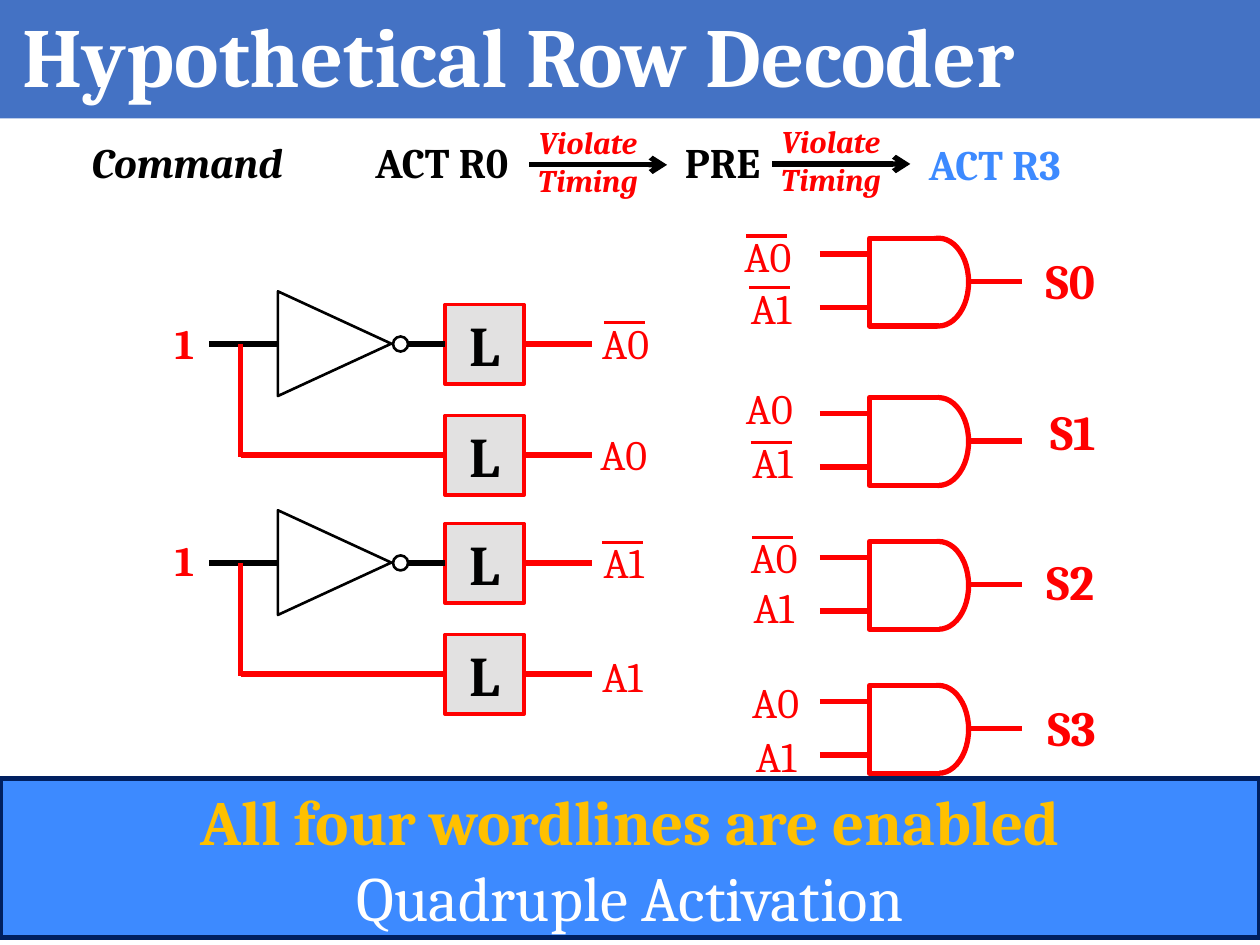
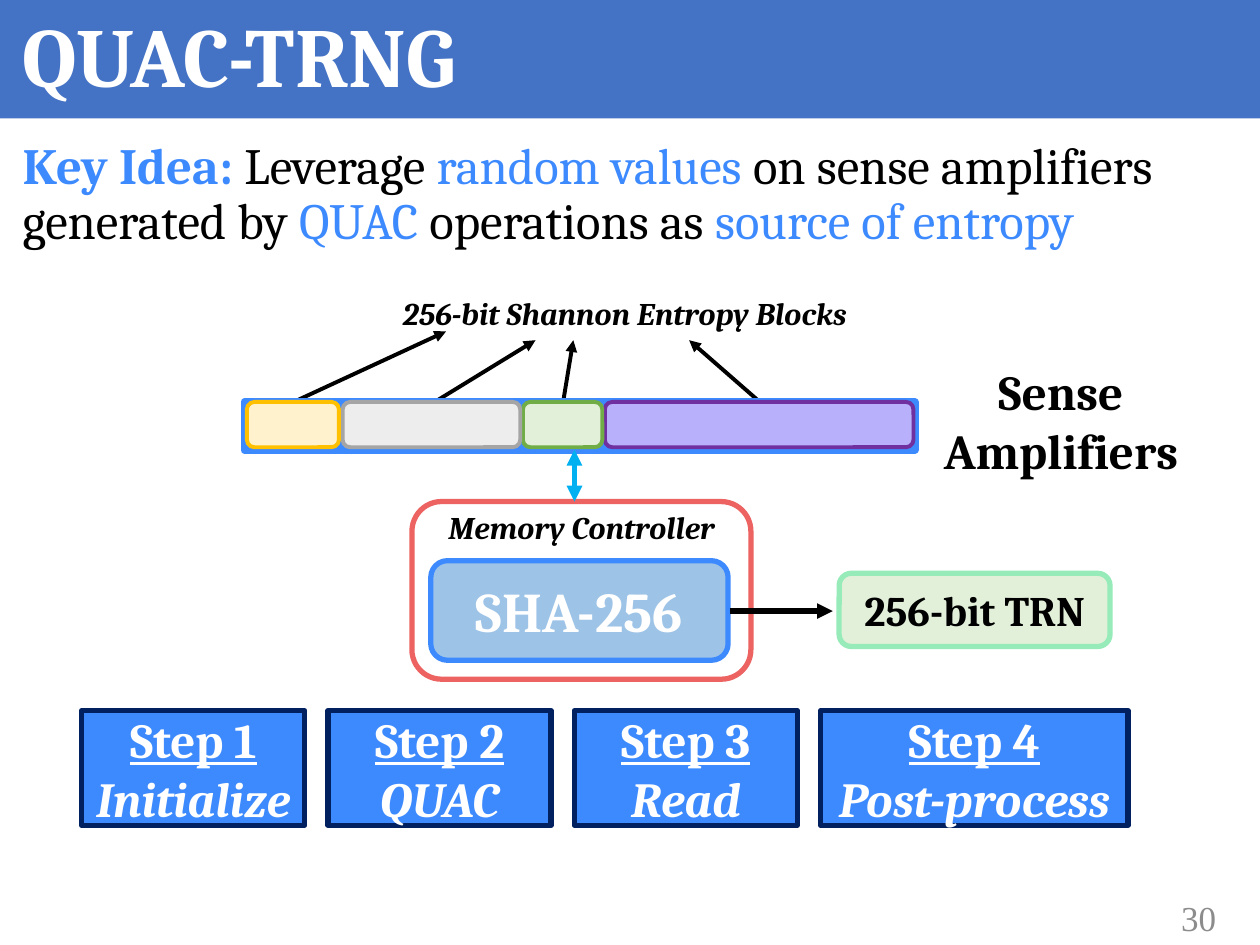
from dataclasses import dataclass, replace

from lxml import etree
from pptx import Presentation
from pptx.dml.color import RGBColor
from pptx.enum.shapes import MSO_CONNECTOR, MSO_SHAPE
from pptx.enum.text import MSO_ANCHOR, PP_ALIGN
from pptx.oxml.ns import qn
from pptx.util import Pt

RECT, ROUND = MSO_SHAPE.RECTANGLE, MSO_SHAPE.ROUNDED_RECTANGLE
OVAL, TRIANGLE = MSO_SHAPE.OVAL, MSO_SHAPE.ISOSCELES_TRIANGLE
STRAIGHT = MSO_CONNECTOR.STRAIGHT
LEFT, CENTER, RIGHT = PP_ALIGN.LEFT, PP_ALIGN.CENTER, PP_ALIGN.RIGHT
TOP, MIDDLE = MSO_ANCHOR.TOP, MSO_ANCHOR.MIDDLE
rgb = RGBColor.from_string


@dataclass(frozen=True)
class Theme:
    font: str = "Cambria"
    number_font: str = "Times New Roman"
    black: RGBColor = rgb("000000")
    white: RGBColor = rgb("FFFFFF")
    red: RGBColor = rgb("FF0000")
    band: RGBColor = rgb("4472C4")
    blue: RGBColor = rgb("3D8AFF")
    navy: RGBColor = rgb("002060")
    gold: RGBColor = rgb("FFC000")
    gray: RGBColor = rgb("8C8C8C")
    latch: RGBColor = rgb("D0CECE")
    coral: RGBColor = rgb("EC6362")
    hash_fill: RGBColor = rgb("9DC3E7")
    pale_green: RGBColor = rgb("E2F0D9")
    mint: RGBColor = rgb("96EBB9")
    sky: RGBColor = rgb("00B0F0")
    title: float = 48
    banner: float = 36
    large: float = 32
    body: float = 29
    heading: float = 28
    normal: float = 24
    number: float = 20
    small: float = 18


THEME = Theme()


@dataclass(frozen=True)
class Span:
    text: str
    size: float = THEME.normal
    color: RGBColor = THEME.black
    bold: bool = True
    italic: bool = False
    underline: bool = False
    font: str = THEME.font


@dataclass(frozen=True)
class Box:
    left: float
    top: float
    width: float
    height: float


@dataclass(frozen=True)
class Signal:
    name: str
    center: float
    top: float
    inverted: bool = False


@dataclass(frozen=True)
class Gate:
    top: float
    inputs: tuple[Signal, Signal]
    output: Signal


@dataclass(frozen=True)
class EntropyBlock:
    left: float
    width: float
    fill: RGBColor
    border: RGBColor


# Shared drawing helpers
def style(run, span: Span) -> None:
    font = run.font
    font.name, font.size, font.color.rgb = span.font, Pt(span.size), span.color
    font.bold, font.italic, font.underline = span.bold, span.italic, span.underline


def write(frame, spans: tuple[Span, ...], align=CENTER, anchor=TOP) -> None:
    """Write one paragraph for each span."""
    frame.word_wrap = True
    frame.vertical_anchor = anchor
    frame.text = "\n".join(span.text for span in spans)
    for para, span in zip(frame.paragraphs, spans):
        para.alignment = align
        style(para.runs[0], span)


def place(box: Box) -> tuple:
    return Pt(box.left), Pt(box.top), Pt(box.width), Pt(box.height)


def add_text(page, box: Box, *spans: Span, align=CENTER, anchor=TOP):
    frame = page.shapes.add_textbox(*place(box)).text_frame
    write(frame, spans, align, anchor)
    return frame


def add_label(page, center: float, top: float, width: float, *spans: Span) -> None:
    add_text(page, Box(center - width / 2, top, width, 36), *spans)


def add_shape(page, kind, box: Box, *spans: Span, fill: RGBColor | None = None,
              border: RGBColor | None = None, weight: float = 3):
    shape = page.shapes.add_shape(kind, *place(box))
    shape.shadow.inherit = False
    if fill is None:
        shape.fill.background()
    else:
        shape.fill.solid()
        shape.fill.fore_color.rgb = fill
    if border is None:
        shape.line.fill.background()
    else:
        shape.line.color.rgb = border
        shape.line.width = Pt(weight)
    if spans:
        shape.text_frame.margin_left = shape.text_frame.margin_right = 0
        write(shape.text_frame, spans, anchor=MIDDLE)
    return shape


def add_line(page, start: tuple[float, float], end: tuple[float, float], color: RGBColor,
             weight: float = 3, head: str = "", tail: str = "") -> None:
    line = page.shapes.add_connector(STRAIGHT, *(Pt(value) for value in start + end))
    line.line.color.rgb = color
    line.line.width = Pt(weight)
    properties = line._element.spPr
    for tag, kind in (("a:headEnd", head), ("a:tailEnd", tail)):
        if kind:
            etree.SubElement(properties.find(qn("a:ln")), qn(tag), type=kind)
    etree.SubElement(properties, qn("a:effectLst"))


def add_page(deck, title: str):
    page = deck.slides.add_slide(deck.slide_layouts[6])
    add_shape(page, RECT, Box(0, 0, 720, 67.7), fill=THEME.band)
    frame = add_text(page, Box(5.8, 0.7, 707.8, 59.8), Span(title, THEME.title, THEME.white),
                     align=LEFT, anchor=MIDDLE)
    frame.paragraphs[0].space_after = Pt(6)
    return page


# Row decoder parts
def add_signal(page, signal: Signal) -> None:
    add_label(page, signal.center, signal.top, 60,
              Span(signal.name, color=THEME.red, bold=False))
    if signal.inverted:
        bar = signal.top + 6.7
        add_line(page, (signal.center - 12.4, bar), (signal.center + 11, bar), THEME.red, 1.75)


def add_latch(page, top: float) -> None:
    latch = add_shape(page, RECT, Box(254.2, top, 45.4, 45.4), Span("L", THEME.large),
                      fill=THEME.latch, border=THEME.red, weight=2)
    color = latch._element.spPr.find(qn("a:solidFill")).find(qn("a:srgbClr"))
    etree.SubElement(color, qn("a:alpha"), val="60000")


def add_address_bit(page, wire: float, input_top: float) -> None:
    """Draw an input bit, its inverter and the two latches."""
    branch_x, branch = 137.5, wire + 63.4
    triangle = add_shape(page, TRIANGLE, Box(161.3, wire - 32.6, 59.8, 64.8),
                         border=THEME.black, weight=1.5)
    triangle.rotation = 90
    add_shape(page, OVAL, Box(224.6, wire - 4.3, 8.6, 8.6), border=THEME.black, weight=1.5)
    add_line(page, (119.5, wire), (158.4, wire), THEME.black)
    add_line(page, (branch_x, wire), (branch_x, branch + 1.3), THEME.red)
    add_line(page, (branch_x, branch), (254.9, branch), THEME.red)
    for level in (wire, branch):
        add_latch(page, level - 22.5)
        add_line(page, (300.2, level), (338.4, level), THEME.red)
    add_line(page, (233.3, wire), (254.2, wire), THEME.black)
    add_label(page, 105.5, input_top, 53, Span("1", color=THEME.red))


def add_gate(page, gate: Gate) -> None:
    top, seam = gate.top, 535
    for kind, left, width in ((OVAL, 519.1, 34.4), (RECT, 496.8, 38.2)):
        add_shape(page, kind, Box(left, top, width, 50.2), fill=THEME.white, border=THEME.red)
    add_line(page, (seam, top + 1.6), (seam, top + 48.7), THEME.white)
    for start, end, offset in ((468.5, 496.8, 9), (468.5, 496.8, 39.7), (553.2, 584, 24.8)):
        add_line(page, (start, top + offset), (end, top + offset), THEME.red)
    for signal in gate.inputs:
        add_signal(page, signal)
    add_label(page, gate.output.center, gate.output.top, 56,
              Span(gate.output.name, THEME.heading, THEME.red))


LATCH_OUTPUTS = (
    Signal("A0", 357.5, 177.8, True), Signal("A0", 356.4, 241.2),
    Signal("A1", 356.4, 303.1, True), Signal("A1", 355.7, 367.9),
)
GATES = (
    Gate(136.1, (Signal("A0", 438.8, 128.2, True), Signal("A1", 440.6, 157.7, True)),
         Signal("S0", 611.6, 139.7)),
    Gate(227.2, (Signal("A0", 439.6, 215.3), Signal("A1", 441.4, 246.2, True)),
         Signal("S1", 613.1, 226.1)),
    Gate(309.4, (Signal("A0", 442.4, 300.2, True), Signal("A1", 442.1, 329)),
         Signal("S2", 611.6, 311.8)),
    Gate(391.7, (Signal("A0", 443.2, 383), Signal("A1", 443.5, 414)),
         Signal("S3", 612.4, 395.3)),
)


def build_row_decoder(deck) -> None:
    page = add_page(deck, "Hypothetical Row Decoder")

    # Command sequence
    for center, top, span in (
        (106.9, 74.2, Span("Command", italic=True)),
        (252.4, 74.2, Span("ACT R0")),
        (412.9, 74.2, Span("PRE")),
        (568.4, 75.6, Span("ACT R3", color=THEME.blue)),
    ):
        add_label(page, center, top, 157, span)
    violation = Span("Violate Timing", THEME.small, THEME.red, italic=True)
    for start, level, center in ((302.4, 94.2, 335.9), (441.4, 93.7, 474.8)):
        add_line(page, (start, level), (start + 78.8, level), THEME.black, tail="arrow")
        add_label(page, center, level - 27.4, 105.8, violation)

    # Address latches and wordline gates
    add_address_bit(page, 196.6, 177.8)
    add_address_bit(page, 321.7, 301.7)
    for signal in LATCH_OUTPUTS:
        add_signal(page, signal)
    for gate in GATES:
        add_gate(page, gate)

    # Conclusion banner
    add_shape(page, RECT, Box(0, 445, 720, 90.7),
              Span("All four wordlines are enabled", THEME.banner, THEME.gold),
              Span("Quadruple Activation", THEME.banner, THEME.white, bold=False),
              fill=THEME.blue, border=THEME.navy)


# Random number generator parts
ENTROPY_BLOCKS = (
    EntropyBlock(345.6, 176.4, rgb("B8B0FA"), rgb("7030A0")),
    EntropyBlock(298.8, 45.4, THEME.pale_green, rgb("70AD47")),
    EntropyBlock(195.8, 101.5, rgb("EDEDED"), rgb("A5A5A5")),
    EntropyBlock(141.1, 52.6, rgb("FFF2CC"), THEME.gold),
)
BLOCK_ARROWS = (
    (167.8, (254.9, 189.4)), (248.4, (306, 194.4)),
    (321.8, (327.6, 194.4)), (434.2, (393.8, 194.4)),
)
STEPS = ("Initialize", "QUAC", "Read", "Post-process")


def add_key_idea(page) -> None:
    plain = Span("", THEME.body, bold=False)
    accent = replace(plain, color=THEME.blue)
    frame = page.shapes.add_textbox(*place(Box(5.8, 77, 707.8, 72))).text_frame
    frame.word_wrap = True
    para = frame.paragraphs[0]
    para.line_spacing = 0.9
    for text, look in (
        ("Key Idea:", replace(accent, bold=True)), (" Leverage ", plain),
        ("random values ", accent), ("on sense amplifiers generated by ", plain),
        ("QUAC", accent), (" operations as ", plain), ("source of entropy", accent),
    ):
        run = para.add_run()
        run.text = text
        style(run, look)


def build_generator(deck) -> None:
    page = add_page(deck, "QUAC-TRNG")
    add_key_idea(page)
    caption = Span("256-bit Shannon Entropy Blocks", THEME.small, italic=True)

    # Sense amplifiers and entropy blocks
    add_label(page, 357.1, 164.2, 304.6, caption)
    for start, tip in BLOCK_ARROWS:
        add_line(page, (start, 229.7), tip, THEME.black, 2.25, tail="triangle")
    add_shape(page, RECT, Box(139.7, 229.7, 383, 27.4), fill=THEME.blue,
              border=THEME.blue, weight=4.5)
    for block in ENTROPY_BLOCKS:
        add_shape(page, ROUND, Box(block.left, 229.7, block.width, 25.9),
                  fill=block.fill, border=block.border, weight=2.25)
    add_label(page, 606.2, 203, 167, Span("Sense Amplifiers", THEME.heading))

    # Memory controller and its output
    add_shape(page, ROUND, Box(235.4, 286.6, 193.7, 101.5), border=THEME.coral)
    add_shape(page, ROUND, Box(246.2, 320.4, 169.9, 56.9),
              Span("SHA-256", THEME.large, THEME.white), fill=THEME.hash_fill, border=THEME.blue)
    add_label(page, 332.3, 286.6, 193.7, replace(caption, text="Memory Controller"))
    add_line(page, (328.3, 286.6), (328.3, 257), THEME.sky, head="triangle", tail="triangle")
    add_line(page, (416.9, 349.2), (475.9, 349.2), THEME.black, tail="triangle")
    add_shape(page, ROUND, Box(479.5, 327.6, 154.8, 41.8), Span("256-bit TRN"),
              fill=THEME.pale_green, border=THEME.mint)

    # Steps
    for index, name in enumerate(STEPS):
        heading = Span(f"Step {index + 1}", THEME.heading, THEME.white, underline=True)
        width = 175.7 if name == STEPS[-1] else 127.4
        add_shape(page, RECT, Box(46.8 + 140.7 * index, 406.1, width, 65.5), heading,
                  replace(heading, text=name, italic=True, underline=False),
                  fill=THEME.blue, border=THEME.navy)

    # Page number
    add_text(page, Box(624.2, 509.8, 77.8, 28.8),
             Span("30", THEME.number, THEME.gray, bold=False, font=THEME.number_font),
             align=RIGHT, anchor=MIDDLE)


def main() -> None:
    deck = Presentation()
    deck.slide_width, deck.slide_height = Pt(720), Pt(540)
    build_row_decoder(deck)
    build_generator(deck)
    deck.save("out.pptx")


if __name__ == "__main__":
    main()
